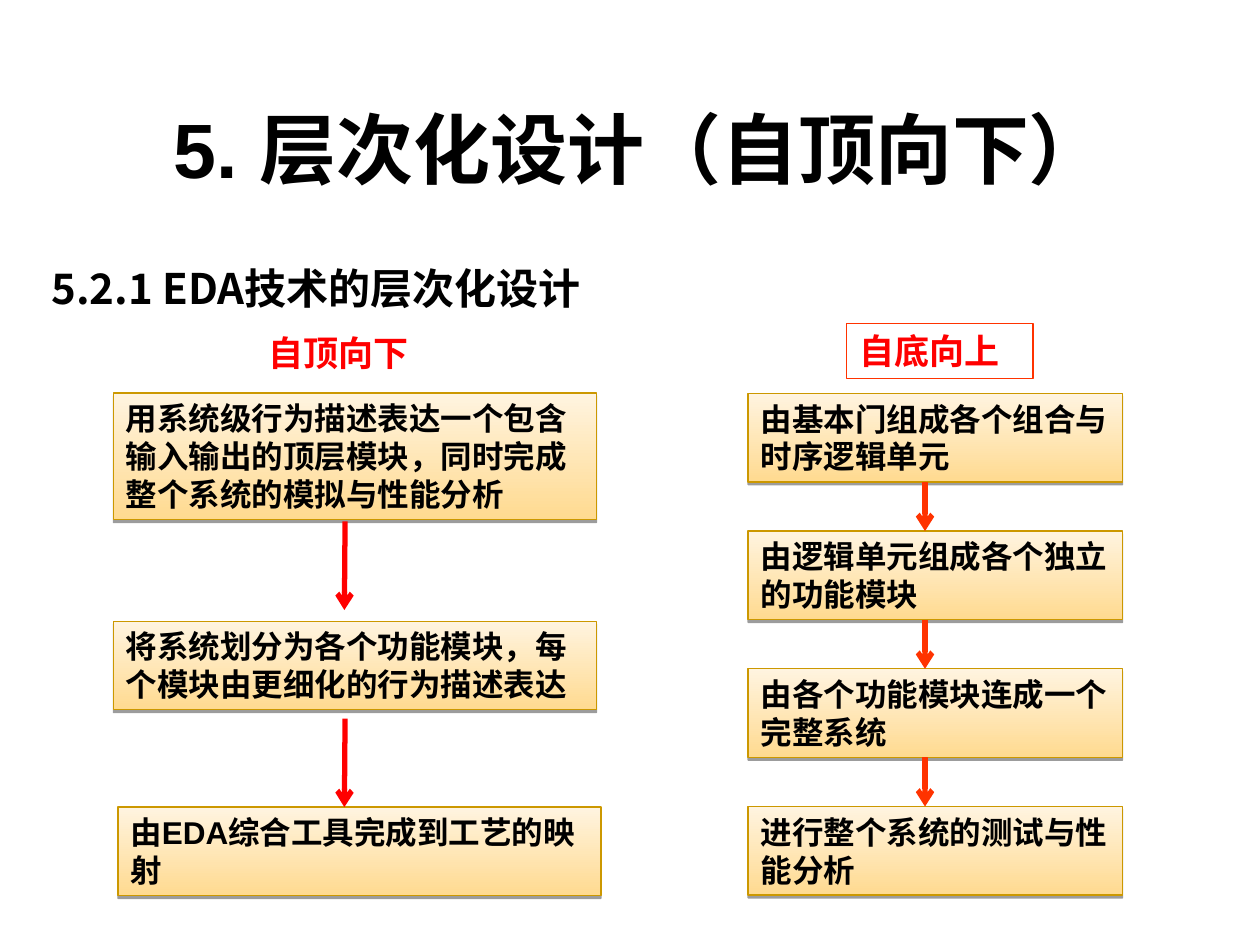
from lxml.etree import SubElement
from pptx import Presentation
from pptx.dml.color import RGBColor
from pptx.enum.shapes import MSO_CONNECTOR, MSO_SHAPE
from pptx.enum.text import MSO_ANCHOR, PP_ALIGN
from pptx.oxml.ns import qn
from pptx.util import Pt


def rgb(color):
    return RGBColor.from_string(color)


class Deck:
    FONT = "Arial"
    LABEL_FONT = "Times New Roman"
    HEADING_FONT = "Noto Sans CJK SC"
    BLACK, RED, ORANGE = "000000", "FF0000", "FF3300"
    GOLD, AMBER, CREAM = "CC9800", "FFDA90", "FFF4E0"

    def __init__(self, prs):
        self.slide = prs.slides.add_slide(prs.slide_layouts[6])

    def fill_text(self, sp, text, size, font, color, align=PP_ALIGN.LEFT,
                  anchor=MSO_ANCHOR.TOP):
        tf = sp.text_frame
        tf.word_wrap = True
        tf.vertical_anchor = anchor
        tf.text = text
        p = tf.paragraphs[0]
        p.alignment = align
        r = p.runs[0]
        r.font.name, r.font.size, r.font.bold = font, Pt(size), True
        r.font.color.rgb = rgb(color)

    def outline(self, sp, color):
        sp.line.color.rgb = rgb(color)
        sp.line.width = Pt(0.75)

    def text(self, x, y, w, h, text, size, font, color, **layout):
        sp = self.slide.shapes.add_textbox(Pt(x), Pt(y), Pt(w), Pt(h))
        self.fill_text(sp, text, size, font, color, **layout)
        return sp

    def label(self, x, y, text, border=None):
        sp = self.text(x, y, 106.5, 31.5, text, 20, self.LABEL_FONT, self.RED)
        if border:
            self.outline(sp, border)

    def step(self, x, y, w, h, text):
        sp = self.slide.shapes.add_shape(
            MSO_SHAPE.RECTANGLE, Pt(x), Pt(y), Pt(w), Pt(h))
        sp.fill.gradient()
        sp.fill.gradient_angle = 90
        for stop, color in zip(sp.fill.gradient_stops, (self.AMBER, self.CREAM)):
            stop.color.rgb = rgb(color)
        self.outline(sp, self.GOLD)
        self.shadow(sp)
        self.fill_text(sp, text, 18, self.FONT, self.BLACK)

    def shadow(self, sp):
        sp.shadow.inherit = False
        effects = sp._element.spPr.find(qn("a:effectLst"))
        outer = SubElement(effects, qn("a:outerShdw"), blurRad="0",
                           dist=str(Pt(1.6)), dir="5400000", rotWithShape="0")
        color = SubElement(outer, qn("a:srgbClr"), val=self.BLACK)
        SubElement(color, qn("a:alpha"), val="38000")

    def arrow(self, x1, y1, x2, y2, color):
        c = self.slide.shapes.add_connector(
            MSO_CONNECTOR.STRAIGHT, Pt(x1), Pt(y1), Pt(x2), Pt(y2))
        c.line.color.rgb = rgb(color)
        c.line.width = Pt(3)
        spPr = c._element.spPr
        SubElement(spPr.find(qn("a:ln")), qn("a:tailEnd"), type="arrow")
        SubElement(spPr, qn("a:effectLst"))


def main():
    prs = Presentation()
    prs.slide_width, prs.slide_height = Pt(720), Pt(540)
    s = Deck(prs)

    # Title and section heading
    s.text(23.8, 54.7, 684, 59.8, "5. 层次化设计（自顶向下）", 44, s.FONT, s.BLACK,
           align=PP_ALIGN.CENTER, anchor=MSO_ANCHOR.BOTTOM)
    s.text(22.3, 146.2, 686, 36, "5.2.1 EDA技术的层次化设计", 24,
           s.HEADING_FONT, s.BLACK)

    # Top-down steps
    s.label(146.2, 185.8, "自顶向下")
    for x, y, h, text in (
        (64.8, 224.6, 72.5, "用系统级行为描述表达一个包含输入输出的顶层模块，同时完成整个系统的模拟与性能分析"),
        (64.8, 355, 50.6, "将系统划分为各个功能模块，每个模块由更细化的行为描述表达"),
        (67.4, 461.2, 50.6, "由EDA综合工具完成到工艺的映射"),
    ):
        s.step(x, y, 276, h, text)
    for y in (298, 410.6):
        s.arrow(197.2, y, 196.8, y + 50.6, s.RED)

    # Bottom-up steps, evenly spaced and linked by arrows
    s.label(483.8, 185, "自底向上", border=s.ORANGE)
    top, height, pitch = 224.8, 50.6, 78.7
    steps = ("由基本门组成各个组合与时序逻辑单元",
             "由逻辑单元组成各个独立的功能模块",
             "由各个功能模块连成一个完整系统",
             "进行整个系统的测试与性能分析")
    for i, text in enumerate(steps):
        y = top + i * pitch
        s.step(427.5, y, 214, height, text)
        if i:
            s.arrow(528.6, y - pitch + height, 528.6, y, s.ORANGE)

    prs.save("out.pptx")


if __name__ == "__main__":
    main()
